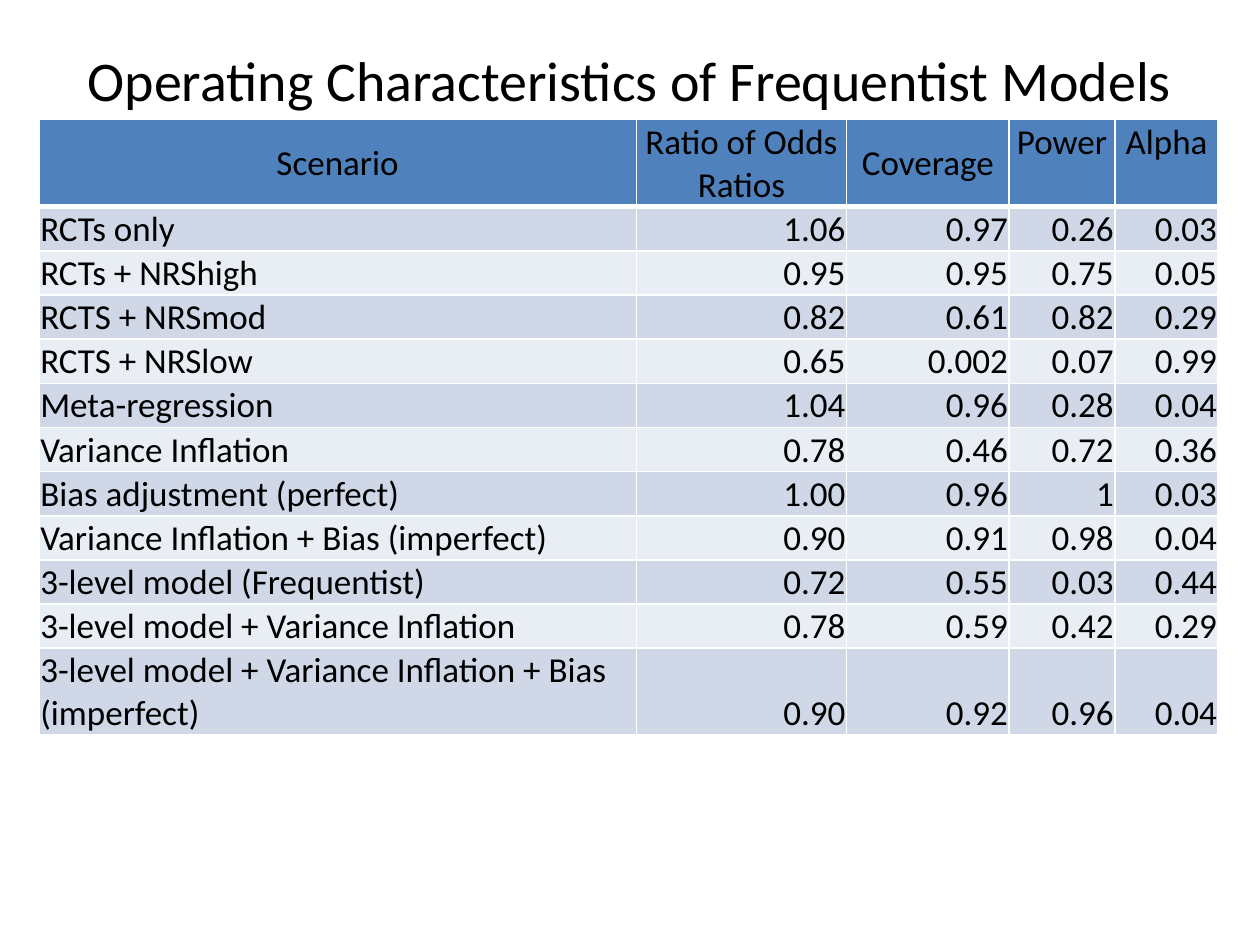
from dataclasses import dataclass

from lxml.etree import SubElement
from pptx import Presentation
from pptx.dml.color import RGBColor
from pptx.enum.text import MSO_ANCHOR as Anchor, PP_ALIGN as Align
from pptx.oxml.ns import qn
from pptx.util import Inches, Pt

HEADINGS = ["Scenario", "Ratio of Odds Ratios", "Coverage", "Power", "Alpha"]
RESULTS = [
    ["RCTs only", "1.06", "0.97", "0.26", "0.03"],
    ["RCTs + NRShigh", "0.95", "0.95", "0.75", "0.05"],
    ["RCTS + NRSmod", "0.82", "0.61", "0.82", "0.29"],
    ["RCTS + NRSlow", "0.65", "0.002", "0.07", "0.99"],
    ["Meta-regression", "1.04", "0.96", "0.28", "0.04"],
    ["Variance Inflation", "0.78", "0.46", "0.72", "0.36"],
    ["Bias adjustment (perfect)", "1.00", "0.96", "1", "0.03"],
    ["Variance Inflation + Bias (imperfect)", "0.90", "0.91", "0.98", "0.04"],
    ["3-level model (Frequentist)", "0.72", "0.55", "0.03", "0.44"],
    ["3-level model + Variance Inflation", "0.78", "0.59", "0.42", "0.29"],
    ["3-level model + Variance Inflation + Bias (imperfect)", "0.90", "0.92", "0.96", "0.04"],
]
COLUMN_WIDTHS = [4.74, 1.67, 1.29, 0.84, 0.82]
ROW_HEIGHT = 0.32
TOP_HEADINGS = {"Power", "Alpha"}


@dataclass(frozen=True)
class Theme:
    font: str = "Calibri"
    text: str = "000000"
    header: str = "4F81BD"
    bands: tuple = ("D0D8E8", "E9EDF4")
    rule: str = "FFFFFF"
    title_size: int = 32
    table_size: int = 20
    thin_rule: int = 1
    thick_rule: int = 3


class SlideBuilder:
    def __init__(self, slide, theme):
        self.slide = slide
        self.theme = theme

    def style(self, frame, size, align):
        for para in frame.paragraphs:
            para.alignment = align
            for span in para.runs:
                span.font.name = self.theme.font
                span.font.size = Pt(size)
                span.font.bold = False
                span.font.color.rgb = RGBColor.from_string(self.theme.text)

    def title(self, text, left, top, width, height):
        box = self.slide.shapes.title
        box.left, box.top = Inches(left), Inches(top)
        box.width, box.height = Inches(width), Inches(height)
        box.text_frame.text = text
        box.text_frame.vertical_anchor = Anchor.MIDDLE
        self.style(box.text_frame, self.theme.title_size, Align.CENTER)

    def borders(self, cell, top, bottom):
        """Rule all four sides; top and bottom are widths in points."""
        thin = self.theme.thin_rule
        properties = cell._tc.get_or_add_tcPr()
        for side, width in (("L", thin), ("R", thin), ("T", top), ("B", bottom)):
            line = SubElement(properties, qn(f"a:ln{side}"), w=str(Pt(width)))
            fill = SubElement(line, qn("a:solidFill"))
            SubElement(fill, qn("a:srgbClr"), val=self.theme.rule)

    def cell(self, cell, text, fill, anchor, align, top, bottom):
        self.borders(cell, top, bottom)
        cell.fill.solid()
        cell.fill.fore_color.rgb = RGBColor.from_string(fill)
        cell.margin_left = cell.margin_right = cell.margin_top = Inches(0.01)
        cell.margin_bottom = 0
        cell.vertical_anchor = anchor
        cell.text_frame.text = text
        self.style(cell.text_frame, self.theme.table_size, align)

    def table(self, headings, rows, left, top, widths, row_height):
        theme = self.theme
        row_count = len(rows) + 1
        table = self.slide.shapes.add_table(
            row_count, len(headings), Inches(left), Inches(top),
            Inches(sum(widths)), Inches(row_height * row_count)).table
        for column, width in zip(table.columns, widths):
            column.width = Inches(width)
        for row in table.rows:
            row.height = Inches(row_height)
        for index, heading in enumerate(headings):
            anchor = Anchor.TOP if heading in TOP_HEADINGS else Anchor.MIDDLE
            self.cell(table.cell(0, index), heading, theme.header, anchor,
                      Align.CENTER, theme.thin_rule, theme.thick_rule)
        for row_index, values in enumerate(rows, start=1):
            band = theme.bands[(row_index - 1) % len(theme.bands)]
            upper = theme.thick_rule if row_index == 1 else theme.thin_rule
            for index, value in enumerate(values):
                align = Align.RIGHT if index else Align.LEFT
                self.cell(table.cell(row_index, index), value, band,
                          Anchor.BOTTOM, align, upper, theme.thin_rule)


def main():
    deck = Presentation()
    deck.slide_width, deck.slide_height = Inches(10), Inches(7.5)
    title_only = deck.slide_layouts[5]
    page = SlideBuilder(deck.slides.add_slide(title_only), Theme())
    page.title("Operating Characteristics of Frequentist Models", 0.5, 0, 9, 1.25)
    page.table(HEADINGS, RESULTS, 0.31, 0.95, COLUMN_WIDTHS, ROW_HEIGHT)
    deck.save("out.pptx")


if __name__ == "__main__":
    main()
